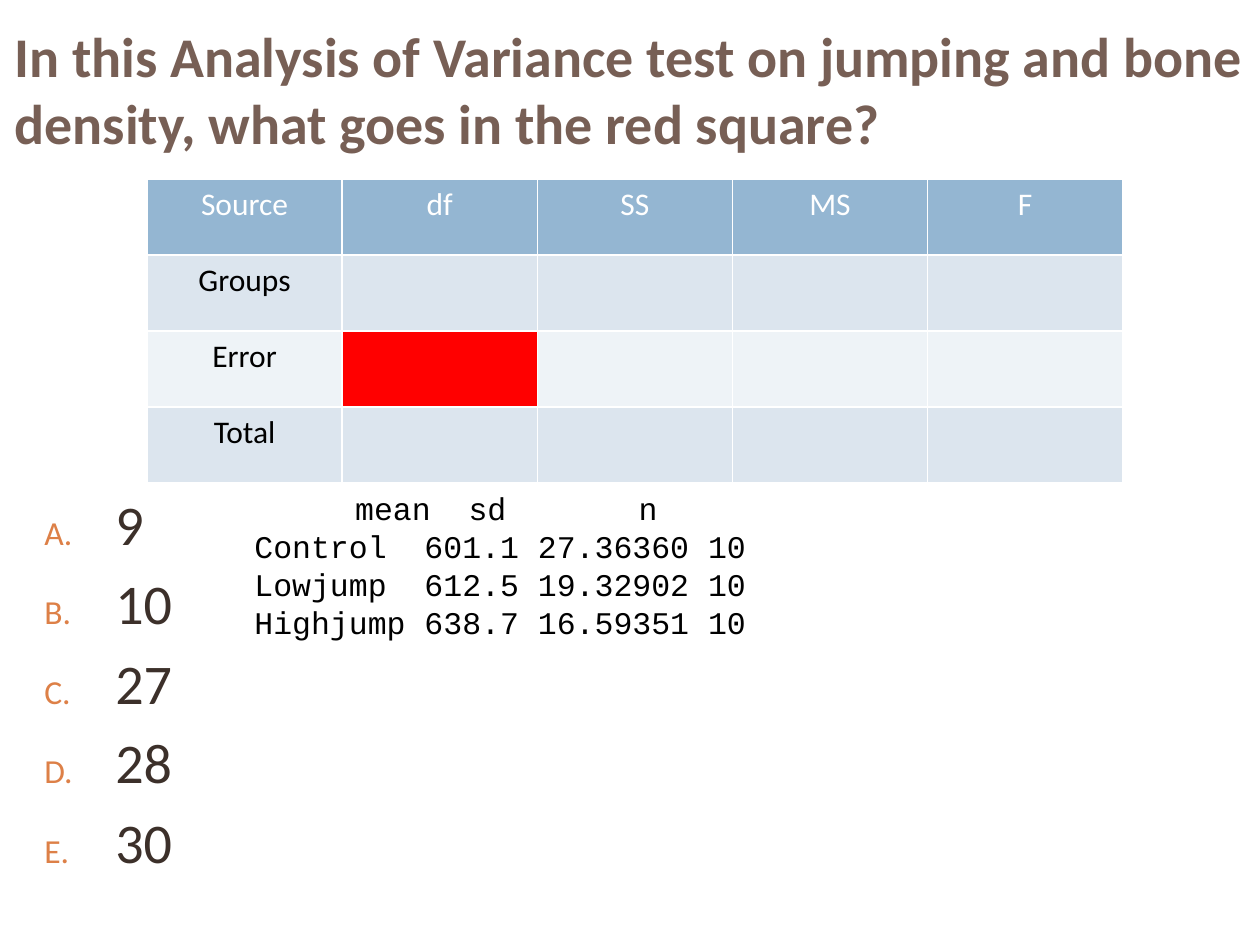
from lxml import etree
from pptx import Presentation
from pptx.dml.color import RGBColor
from pptx.enum.text import MSO_ANCHOR, PP_ALIGN
from pptx.oxml.ns import qn
from pptx.util import Pt

PX = 914400 / 126
CENTER, LEFT = PP_ALIGN.CENTER, PP_ALIGN.LEFT
MIDDLE, TOP = MSO_ANCHOR.MIDDLE, MSO_ANCHOR.TOP


def px(*lengths):
    return [round(n * PX) for n in lengths]


def write(p, text, size=18, color="000000", font="Calibri", bold=False, align=LEFT):
    p.alignment = align
    r = p.add_run()
    r.text = text
    r.font.size = Pt(size)
    r.font.name = font
    r.font.bold = bold
    r.font.color.rgb = RGBColor.from_string(color)


prs = Presentation()
prs.slide_width, prs.slide_height = px(1260, 945)
s = prs.slides.add_slide(prs.slide_layouts[5])

# Title
title = s.shapes.title
title.left, title.top, title.width, title.height = px(2, 21, 1258, 136)
tf = title.text_frame
tf.word_wrap = True
tf.vertical_anchor = MIDDLE
write(tf.paragraphs[0],
      "In this Analysis of Variance test on jumping and bone density, "
      "what goes in the red square?", size=32, color="775F55", bold=True)

# Group summary, as printed by the statistics program
summary = [
    "\t  mean  sd       n",
    "Control  601.1 27.36360 10",
    "Lowjump  612.5 19.32902 10",
    "Highjump 638.7 16.59351 10",
]
tf = s.shapes.add_textbox(*px(242, 483, 651, 165)).text_frame
tf.word_wrap = True
for i, line in enumerate(summary):
    p = tf.add_paragraph() if i else tf.paragraphs[0]
    write(p, line, font="Courier New")

# Answer choices, lettered automatically
tf = s.shapes.add_textbox(*px(32, 483, 252, 464)).text_frame
tf.word_wrap = True
for i, answer in enumerate(["9", "10", "27", "28", "30"]):
    p = tf.add_paragraph() if i else tf.paragraphs[0]
    if i:
        p.space_before = Pt(7)
    pPr = p._p.get_or_add_pPr()
    indent = px(71)[0]
    pPr.set("marL", str(indent))
    pPr.set("indent", str(-indent))
    color = etree.SubElement(pPr, qn("a:buClr"))
    etree.SubElement(color, qn("a:srgbClr"), val="DD8047")
    etree.SubElement(pPr, qn("a:buSzPct"), val="60000")
    etree.SubElement(pPr, qn("a:buFont"), typeface="+mj-lt")
    etree.SubElement(pPr, qn("a:buAutoNum"), type="alphaUcPeriod")
    write(p, answer, size=32, color="3C302A")

# Analysis of variance table
rows = [["Source", "df", "SS", "MS", "F"], ["Groups"], ["Error"], ["Total"]]
row_fills = ["94B6D2", "DCE5EE", "EEF3F7", "DCE5EE"]
table = s.shapes.add_table(4, 5, *px(147, 179, 976, 304)).table
table.first_row = table.horz_banding = False
for i, (row, row_fill) in enumerate(zip(rows, row_fills)):
    for j in range(5):
        cell = table.cell(i, j)
        cell.vertical_anchor = TOP
        tcPr = cell._tc.get_or_add_tcPr()
        for side in ("lnL", "lnR", "lnT", "lnB"):
            ln = etree.SubElement(tcPr, qn("a:" + side), w=str(Pt(1)))
            fill = etree.SubElement(ln, qn("a:solidFill"))
            etree.SubElement(fill, qn("a:srgbClr"), val="FFFFFF")
        cell.fill.solid()
        cell.fill.fore_color.rgb = RGBColor.from_string(
            "FF0000" if (i, j) == (2, 1) else row_fill)
        if j < len(row):
            write(cell.text_frame.paragraphs[0], row[j],
                  color="000000" if i else "FFFFFF", align=CENTER)

prs.save("out.pptx")
